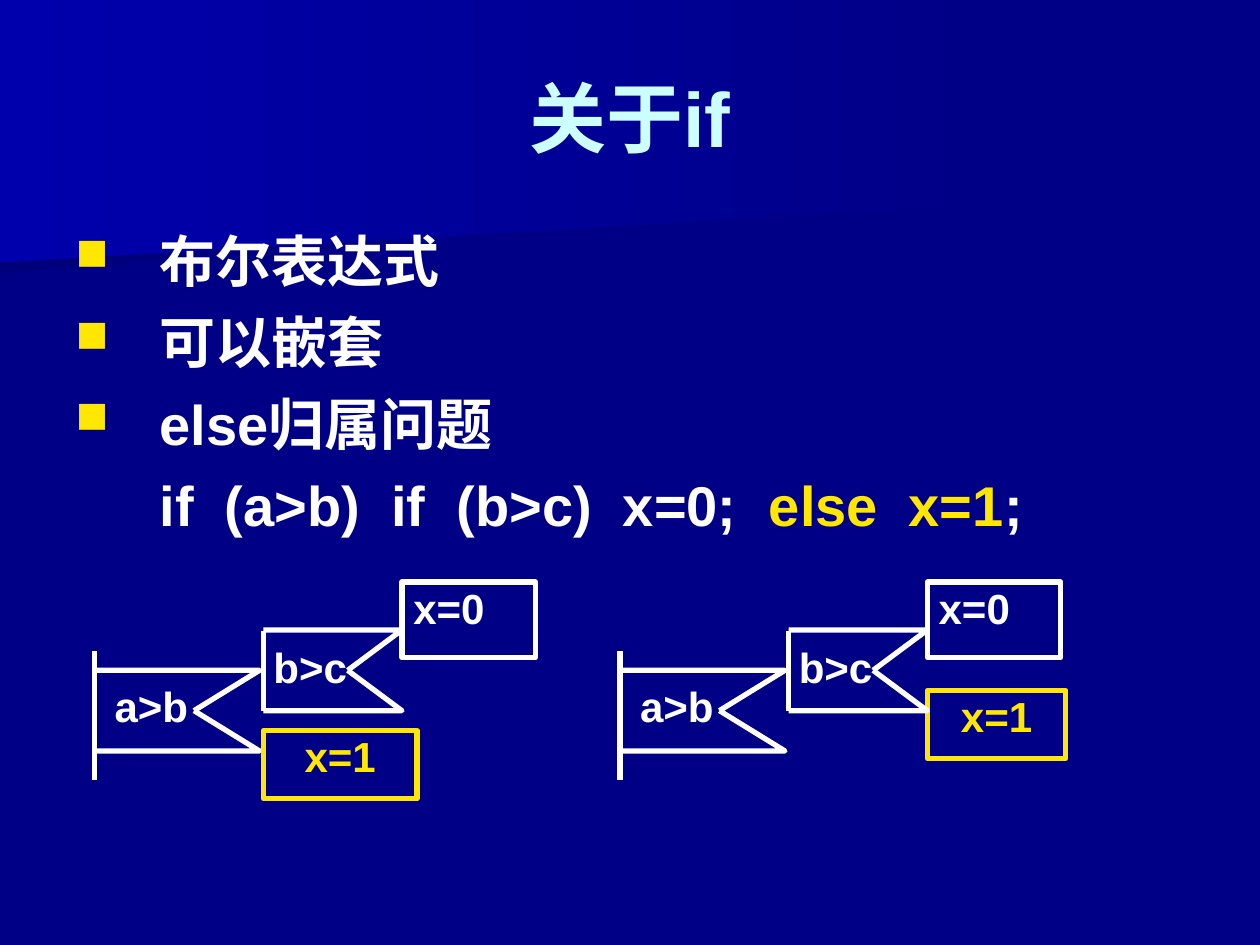
"""Build a slide on the if statement and the two readings of a dangling else."""
from lxml import etree
from pptx import Presentation
from pptx import util as u
from pptx.dml.color import RGBColor
from pptx.enum import shapes, text
from pptx.oxml import ns

NAVY = RGBColor(0x00, 0x00, 0x86)
DEEP_NAVY = RGBColor(0x00, 0x00, 0x7D)
BLUE = RGBColor(0x00, 0x00, 0xAC)
ICE = RGBColor(0xCC, 0xFF, 0xFF)
WHITE = RGBColor(0xFF, 0xFF, 0xFF)
YELLOW = RGBColor(0xFF, 0xE7, 0x01)

TOPICS = ["布尔表达式", "可以嵌套", "else归属问题"]
CODE = [("if  (a>b)  if  (b>c)  x=0;  ", WHITE), ("else  x=1", YELLOW), (";", WHITE)]
FRAME = {
    "word_wrap": True,
    "vertical_anchor": text.MSO_ANCHOR.TOP,
    "margin_left": 0,
    "margin_right": 0,
    "margin_top": 0,
    "margin_bottom": 0,
}


def set_format(target, values):
    """Set every named attribute of the target."""
    for name, value in values.items():
        setattr(target, name, value)


def inches(*lengths):
    """Convert lengths in inches."""
    return [u.Inches(length) for length in lengths]


def add_run(paragraph, words, size, color):
    """Add a bold Arial run to a paragraph."""
    run = paragraph.add_run()
    run.text = words
    set_format(run.font, {"name": "Arial", "size": u.Pt(size), "bold": True})
    run.font.color.rgb = color


def set_line(shape, color):
    """Give a shape a heavy line."""
    shape.line.color.rgb = color
    shape.line.width = u.Pt(3)


def add_outline(slide, points, closed=False):
    """Draw a path through points given in inches."""
    start, *rest = [inches(*point) for point in points]
    builder = slide.shapes.build_freeform(*start, scale=1.0)
    builder.add_line_segments(rest, close=closed)
    shape = builder.convert_to_shape()
    shape.shadow.inherit = False
    return shape


def add_backdrop(slide):
    """Fill the background and lay the gradient bands over it."""
    slide.background.fill.solid()
    slide.background.fill.fore_color.rgb = NAVY
    bands = [
        ([(0, 2.17), (0, 1.01), (7.79, 1.01), (7.78, 1.53)], DEEP_NAVY),
        ([(0, 2.08), (0, 0), (7.92, 0), (7.92, 1.62)], BLUE),
    ]
    for points, color in bands:
        band = add_outline(slide, points, closed=True)
        band.line.fill.background()
        band.fill.gradient()
        band.fill.gradient_angle = 180
        for stop, stop_color in zip(band.fill.gradient_stops, (NAVY, color)):
            stop.color.rgb = stop_color


def add_title(slide, words):
    """Place the title in front of the backdrop."""
    title = slide.shapes.title
    slide.shapes.element.append(title.element)
    left, top, width, height = inches(0.5, 0.3, 9, 1.25)
    set_format(title, {"left": left, "top": top, "width": width, "height": height})
    title.text_frame.vertical_anchor = text.MSO_ANCHOR.MIDDLE
    paragraph = title.text_frame.paragraphs[0]
    paragraph.alignment = text.PP_ALIGN.CENTER
    add_run(paragraph, words, 44, ICE)


def add_bullet(paragraph):
    """Give a paragraph a hanging yellow square."""
    properties = paragraph._p.get_or_add_pPr()
    properties.set("indent", str(-u.Inches(0.67)))
    color = etree.SubElement(properties, ns.qn("a:buClr"))
    etree.SubElement(color, ns.qn("a:srgbClr"), val=str(YELLOW))
    etree.SubElement(properties, ns.qn("a:buSzPct"), val="80000")
    etree.SubElement(properties, ns.qn("a:buChar"), char="■")


def add_body(slide):
    """Add the bulleted topics and the line of code under them."""
    frame = slide.shapes.add_textbox(*inches(0.5, 1.75, 9, 2.71)).text_frame
    frame.word_wrap = True
    lines = [[(topic, WHITE)] for topic in TOPICS] + [CODE]
    for index, runs in enumerate(lines):
        paragraph = frame.add_paragraph() if index else frame.paragraphs[0]
        paragraph._p.get_or_add_pPr().set("marL", str(u.Inches(0.67)))
        if runs is not CODE:
            add_bullet(paragraph)
        paragraph.space_before = u.Pt(8 if index else 0)
        for words, color in runs:
            add_run(paragraph, words, 32, color)


def write_label(shape, words, color, alignment):
    """Write one line at the top of a shape without insets."""
    set_format(shape.text_frame, FRAME)
    paragraph = shape.text_frame.paragraphs[0]
    paragraph.alignment = alignment
    add_run(paragraph, words, 24, color)


def add_condition(slide, words, *box):
    """Add the text of a condition."""
    label = slide.shapes.add_textbox(*inches(*box))
    write_label(label, words, WHITE, text.PP_ALIGN.JUSTIFY)


def add_statement(slide, words, color, alignment, *box):
    """Add a framed statement."""
    shape = slide.shapes.add_shape(shapes.MSO_SHAPE.RECTANGLE, *inches(*box))
    shape.shadow.inherit = False
    shape.fill.background()
    set_line(shape, color)
    write_label(shape, words, color, alignment)
    return shape


def add_spine(slide, x, top, bottom):
    """Add the upright line at the left of a selection."""
    spine = slide.shapes.add_connector(
        shapes.MSO_CONNECTOR.STRAIGHT, *inches(x, top, x, bottom))
    set_line(spine, WHITE)
    etree.SubElement(spine._element.spPr, ns.qn("a:effectLst"))


def add_branches(slide, left, middle, width, notch):
    """Add the two arms of a selection, meeting at its notch."""
    for edge in (middle + 0.32, middle - 0.32):
        points = [(left, edge), (left + width, edge), (left + notch, middle)]
        arm = add_outline(slide, points)
        arm.fill.background()
        set_line(arm, WHITE)


def add_diagram(slide, left, else_box):
    """Draw nested selections with the else statement in its box."""
    inner = left + 1.34
    add_spine(slide, left, 5.17, 6.19)
    add_branches(slide, left, 5.64, 1.31, 0.79)
    add_condition(slide, "a>b", left + 0.16, 5.4, 0.88, 0.42)
    add_statement(slide, "x=1", YELLOW, text.PP_ALIGN.CENTER, *else_box)
    add_spine(slide, inner, 5.01, 5.64)
    add_branches(slide, inner, 5.32, 1.1, 0.67)
    then_box = add_statement(
        slide, "x=0", WHITE, text.PP_ALIGN.JUSTIFY, inner + 1.1, 4.62, 1.06, 0.6)
    then_box.text_frame.margin_left = u.Inches(0.09)
    add_condition(slide, "b>c", inner + 0.08, 5.09, 0.97, 0.47)


def main():
    """Build and save the slide."""
    presentation = Presentation()
    width, height = inches(10, 7.5)
    set_format(presentation, {"slide_width": width, "slide_height": height})
    slide = presentation.slides.add_slide(presentation.slide_layouts[5])
    add_backdrop(slide)
    add_title(slide, "关于if")
    add_body(slide)
    add_diagram(slide, 0.75, (2.09, 5.8, 1.22, 0.54))
    add_diagram(slide, 4.92, (7.36, 5.48, 1.1, 0.54))
    presentation.save("out.pptx")


if __name__ == "__main__":
    main()
